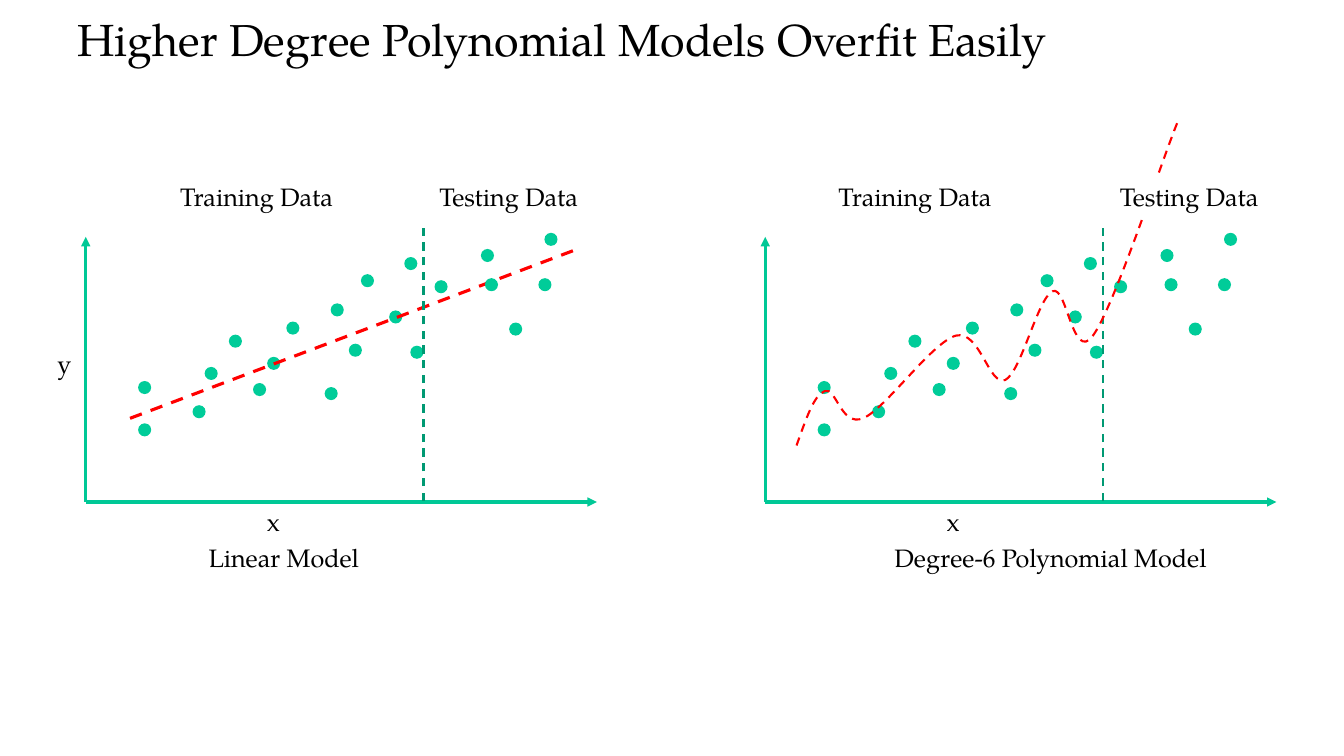
"""Build the slide that compares a linear and a degree-6 fit."""
from pptx import Presentation
from pptx.dml.color import RGBColor as Rgb
from pptx.enum.dml import MSO_LINE as Dash
from pptx.enum.shapes import MSO_CONNECTOR as Conn, MSO_SHAPE as Form
from pptx.enum.text import PP_ALIGN as Align
from pptx.oxml.ns import qn
from pptx.util import Pt
from lxml.etree import SubElement as Sub

PX = 9144
FONT = "TeX Gyre Pagella"
HUES = {"text": "000000", "axis": "00C896", "dot": "00CC99",
        "model": "FF0000", "split": "009973", "back": "FFFFFF"}
STEP = 674
DOT = 13
TRAIN = [(137, 378), (137, 420), (191, 402), (203, 364), (227, 332), (251, 380),
         (284, 319), (265, 354), (328, 301), (322, 384), (346, 341), (358, 272),
         (386, 308), (407, 343), (431, 278), (401, 255)]
TEST = [(481, 276), (477, 247), (534, 276), (540, 231), (505, 320)]
CURVE = [(790, 442), (799, 417), (807, 392), (818, 388), (829, 383), (834, 424),
         (856, 415), (878, 406), (924, 340), (948, 333), (972, 327), (981, 384),
         (997, 377), (1013, 369), (1029, 296), (1044, 289), (1058, 282),
         (1064, 361), (1084, 333), (1105, 305), (1153, 157), (1168, 121)]


def hue(name):
    """Return a named colour."""
    return Rgb.from_string(HUES[name])


def pen(item, name, width, dash=False):
    """Style the line of a shape or connector."""
    item.line.color.rgb = hue(name)
    item.line.width = Pt(width)
    if dash:
        item.line.dash_style = Dash.DASH


def line(slide, start, end, name, width, dash=False, arrow=False):
    """Draw a straight line, with an arrowhead at its end if asked."""
    item = slide.shapes.add_connector(
        Conn.STRAIGHT, *(n * PX for n in (*start, *end)))
    pen(item, name, width, dash)
    if arrow:
        Sub(item.line._get_or_add_ln(), qn("a:tailEnd"), type="triangle")
    Sub(item.element.spPr, qn("a:effectLst"))


def label(slide, text, box, size=18, align=Align.CENTER, wrap=True, fill=None):
    """Add one line of text and return its box."""
    item = slide.shapes.add_textbox(*(n * PX for n in box))
    item.text_frame.word_wrap = wrap
    if fill:
        item.fill.solid()
        item.fill.fore_color.rgb = hue(fill)
    para = item.text_frame.paragraphs[0]
    para.alignment = align
    run = para.add_run()
    run.text = text
    run.font.name = FONT
    run.font.size = Pt(size)
    run.font.color.rgb = hue("text")
    return item


def dots(slide, spots, shift):
    """Draw data points, moved right by a shift."""
    for x, y in spots:
        dot = slide.shapes.add_shape(
            Form.OVAL, (x + shift) * PX, y * PX, DOT * PX, DOT * PX)
        dot.shadow.inherit = False
        dot.fill.solid()
        dot.fill.fore_color.rgb = hue("dot")
        dot.line.fill.background()


def curve(slide, spots):
    """Draw a dashed chain of cubic curves through control points."""
    form = slide.shapes.build_freeform(*spots[0], scale=PX)
    form.add_line_segments(spots[1:], close=False)
    item = form.convert_to_shape()
    item.shadow.inherit = False
    item.fill.background()
    pen(item, "model", 1.5, dash=True)
    legs = list(item.element.iter(qn("a:lnTo")))
    track = legs[0].getparent()
    for i in range(0, len(legs), 3):
        bend = Sub(track, qn("a:cubicBezTo"))
        for leg in legs[i:i + 3]:
            bend.append(leg[0])
            track.remove(leg)


def frame(slide, shift, x_left):
    """Draw the axes, the x label and the training points."""
    root = (85 + shift, 498)
    line(slide, root, (85 + shift, 235), "axis", 2.25, arrow=True)
    line(slide, root, (592 + shift, 498), "axis", 2.25, arrow=True)
    label(slide, "x", (x_left, 497, 33, 40), align=Align.LEFT, wrap=False)
    dots(slide, TRAIN, shift)


def tests(slide, shift):
    """Draw the testing points and the line that splits the data."""
    dots(slide, TEST, shift)
    line(slide, (420 + shift, 497), (420 + shift, 220), "split", 1.5, dash=True)


def main():
    """Build and save the slide."""
    deck = Presentation()
    deck.slide_width, deck.slide_height = 1333 * PX, 750 * PX
    slide = deck.slides.add_slide(deck.slide_layouts[6])

    title = label(slide, "Higher Degree Polynomial Models Overfit Easily",
                  (67, 1, 1199, 100), size=32, align=Align.LEFT)
    title.text_frame.margin_top = 10 * PX
    title.text_frame.paragraphs[0].line_spacing = 1.02

    frame(slide, 0, 255)
    line(slide, (129, 415), (573, 247), "model", 2.25, dash=True)
    label(slide, "y", (47, 341, 34, 40), align=Align.LEFT, wrap=False)
    label(slide, "Linear Model", (194, 533, 175, 40))
    tests(slide, 0)
    label(slide, "Training Data", (167, 175, 175, 40))
    label(slide, "Testing Data", (417, 175, 175, 40))

    frame(slide, STEP, 929)
    label(slide, "Degree-6 Polynomial Model", (869, 533, 346, 40))
    tests(slide, STEP)
    label(slide, "Training Data", (820, 175, 175, 40))
    curve(slide, CURVE)
    label(slide, "Testing Data", (1092, 175, 175, 40), fill="back")

    deck.save("out.pptx")


if __name__ == "__main__":
    main()
